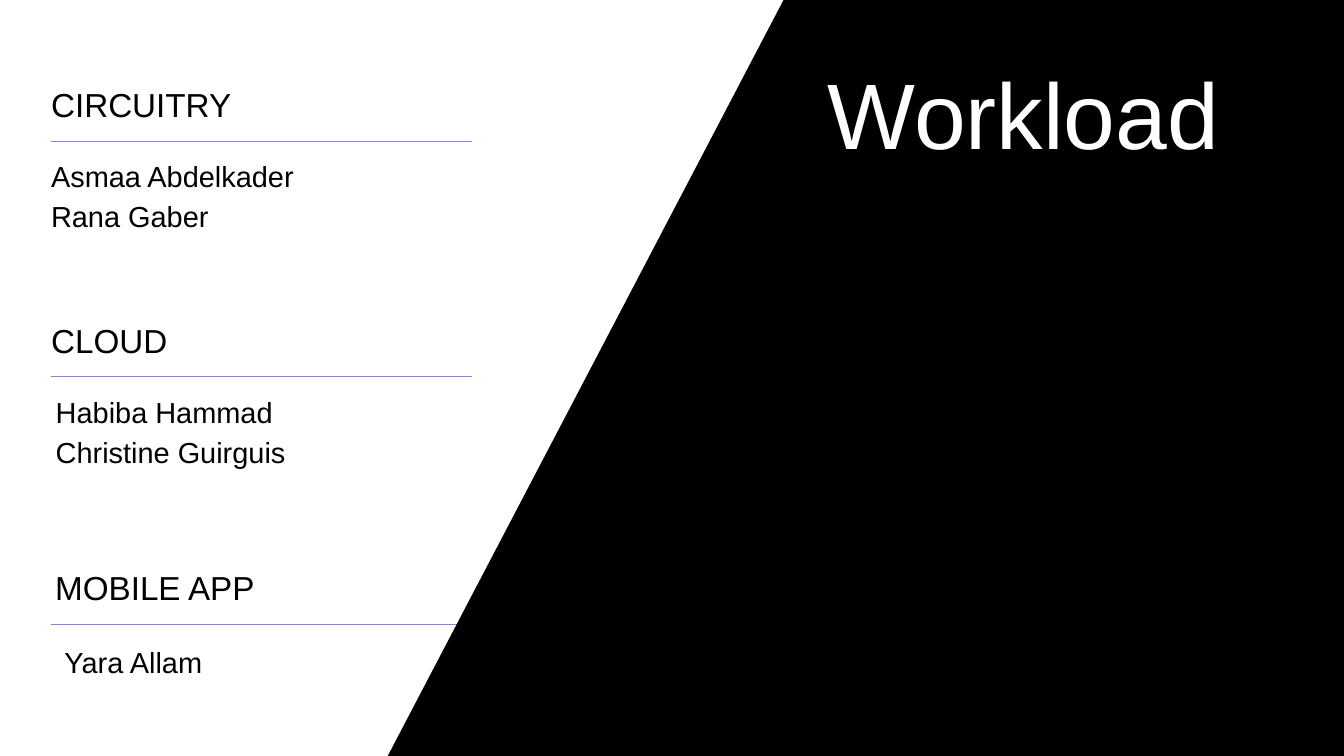
from dataclasses import dataclass

from lxml.etree import SubElement
from pptx import Presentation
from pptx.dml.color import RGBColor
from pptx.enum.shapes import MSO_CONNECTOR
from pptx.enum.text import MSO_ANCHOR, MSO_AUTO_SIZE, PP_ALIGN
from pptx.oxml.ns import qn
from pptx.slide import Slide
from pptx.text.text import TextFrame
from pptx.util import Inches, Pt

COLORS = {"paper": "FFFFFF", "ink": "000000", "rule": "9179FA"}
FONT = "Arial"
WIDTH, HEIGHT = 20, 11.25
LEFT, RIGHT = 0.76, 7.03


@dataclass
class Style:
    size: float
    pitch: float
    color: str


@dataclass
class Team:
    name: str
    people: list[str]
    rule: float
    head: tuple[float, float, float]
    body: tuple[float, float, float]


TITLE = Style(99.7, 119.7, "paper")
HEAD = Style(35.6, 42.7, "ink")
BODY = Style(31, 43.4, "ink")

TEAMS = [
    Team("CIRCUITRY", ["Asmaa Abdelkader", "Rana Gaber"], 2.11,
         (LEFT, 1.26, 3.56), (LEFT, 2.27, 4.96)),
    Team("CLOUD", ["Habiba Hammad", "Christine Guirguis"], 5.6,
         (LEFT, 4.77, 3.56), (0.83, 5.78, 4.96)),
    Team("MOBILE APP", ["Yara Allam"], 9.29,
         (0.82, 8.44, 5.09), (0.96, 9.51, 4.96)),
]


def rgb(name: str) -> RGBColor:
    return RGBColor.from_string(COLORS[name])


def write(frame: TextFrame, lines: list[str], style: Style) -> None:
    frame.word_wrap = True
    frame.auto_size = MSO_AUTO_SIZE.NONE
    frame.vertical_anchor = MSO_ANCHOR.TOP
    frame.margin_left = frame.margin_right = 0
    frame.margin_top = frame.margin_bottom = 0
    for index, line in enumerate(lines):
        para = frame.add_paragraph() if index else frame.paragraphs[0]
        para.alignment = PP_ALIGN.LEFT
        para.line_spacing = Pt(style.pitch)
        run = para.add_run()
        run.text = line
        run.font.name = FONT
        run.font.size = Pt(style.size)
        run.font.color.rgb = rgb(style.color)


def add_text(slide: Slide, spot: tuple[float, float, float],
             lines: list[str], style: Style) -> None:
    x, y, width = spot
    height = 0.58 * len(lines)
    box = slide.shapes.add_textbox(
        Inches(x), Inches(y), Inches(width), Inches(height))
    write(box.text_frame, lines, style)


def add_rule(slide: Slide, y: float) -> None:
    rule = slide.shapes.add_connector(
        MSO_CONNECTOR.STRAIGHT, Inches(LEFT), Inches(y), Inches(RIGHT), Inches(y))
    rule.line.color.rgb = rgb("rule")
    rule.line.width = Pt(0.75)
    SubElement(rule.element.spPr, qn("a:effectLst"))


def add_panel(slide: Slide) -> None:
    pen = slide.shapes.build_freeform(Inches(11.66), 0)
    corners = [(WIDTH, 0), (WIDTH, HEIGHT), (5.77, HEIGHT)]
    pen.add_line_segments([(Inches(x), Inches(y)) for x, y in corners])
    panel = pen.convert_to_shape()
    panel.shadow.inherit = False
    panel.fill.solid()
    panel.fill.fore_color.rgb = rgb("ink")
    panel.line.fill.background()


def set_title(slide: Slide, text: str) -> None:
    title = slide.shapes.title
    title.left, title.top = Inches(12.32), Inches(0.84)
    title.width, title.height = Inches(7.68), Inches(1.66)
    write(title.text_frame, [text], TITLE)
    slide.shapes.element.append(title.element)


def main() -> None:
    deck = Presentation()
    deck.slide_width, deck.slide_height = Inches(WIDTH), Inches(HEIGHT)
    slide = deck.slides.add_slide(deck.slide_layouts[5])
    slide.background.fill.solid()
    slide.background.fill.fore_color.rgb = rgb("paper")
    for team in TEAMS:
        add_rule(slide, team.rule)
    add_panel(slide)
    set_title(slide, "Workload")
    for team in TEAMS:
        add_text(slide, team.head, [team.name], HEAD)
        add_text(slide, team.body, team.people, BODY)
    deck.save("out.pptx")


if __name__ == "__main__":
    main()
